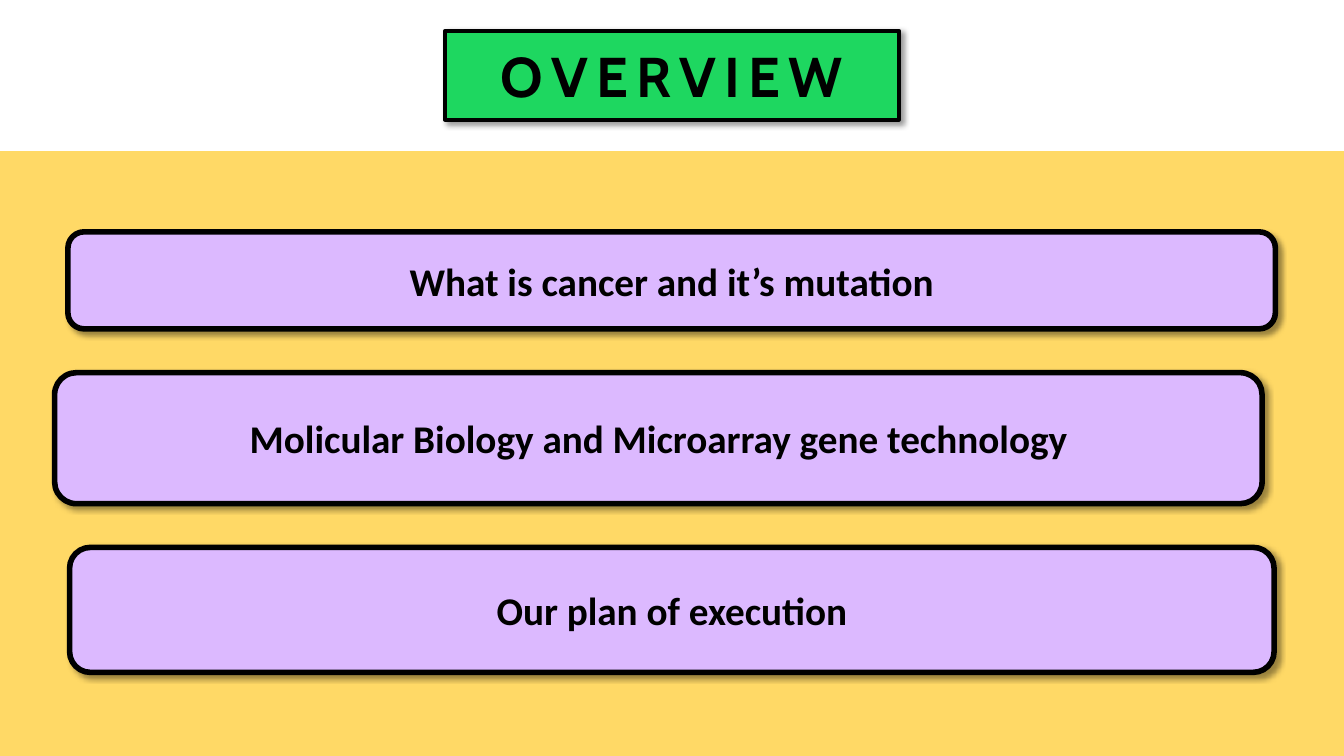
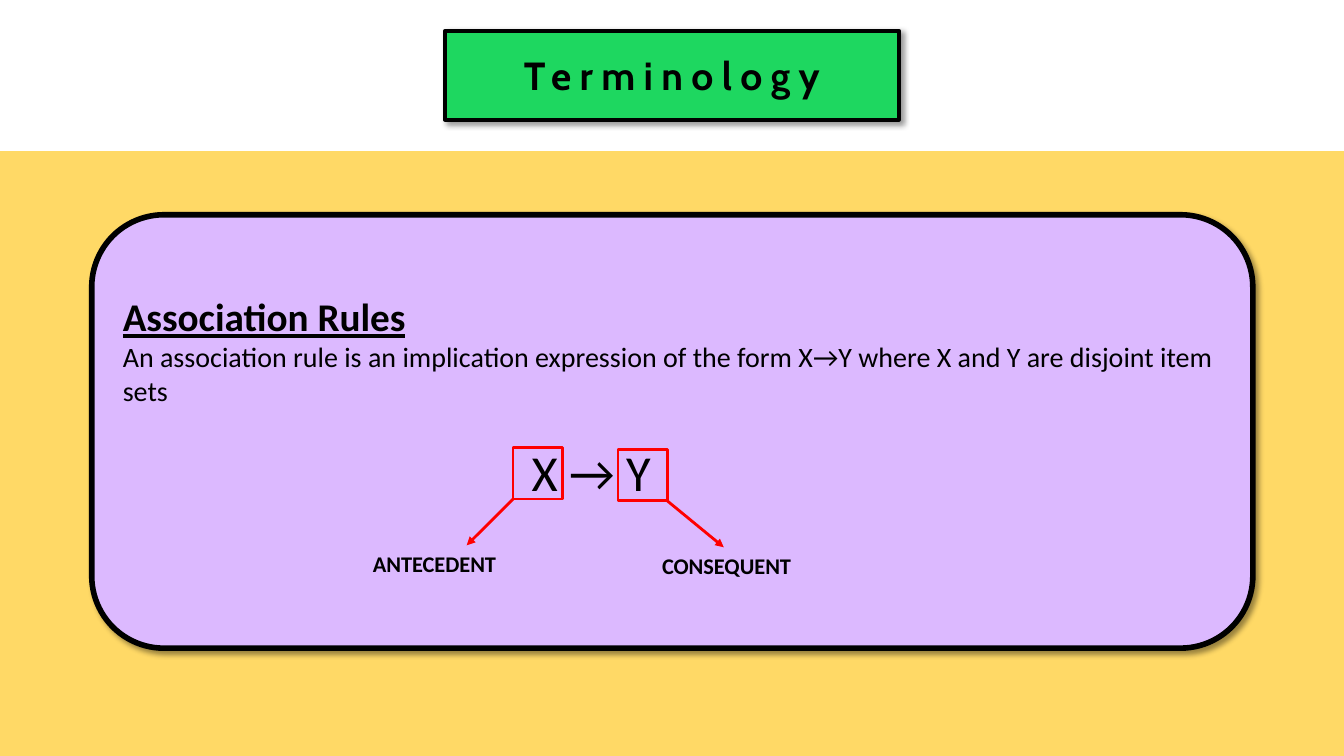
from dataclasses import dataclass

from lxml import etree
from pptx import Presentation
from pptx.dml.color import RGBColor
from pptx.enum.shapes import MSO_CONNECTOR as Connector, MSO_SHAPE as Preset
from pptx.enum.text import MSO_ANCHOR as Anchor, MSO_AUTO_SIZE as AutoSize, PP_ALIGN as Align
from pptx.oxml import parse_xml
from pptx.oxml.ns import nsdecls, qn
from pptx.util import Pt


@dataclass(frozen=True)
class Theme:
    ink: str = "000000"
    pill: str = "1ED760"
    band: str = "FFD966"
    panel: str = "DCB9FF"
    accent: str = "FF0000"
    title_font: str = "Cabin"
    body_font: str = "Calibri"
    title_size: int = 40
    formula_size: int = 36
    heading_size: int = 28
    body_size: int = 20
    label_size: int = 16
    pill_line: int = 3
    panel_line: int = 4
    accent_line: int = 2


THEME = Theme()
WIDTH, HEIGHT = 960, 540
BAND_TOP = 108


class Deck:
    """Holds the presentation, its style and the current slide."""

    def __init__(self, theme):
        self.theme = theme
        self.presentation = Presentation()
        self.presentation.slide_width = Pt(WIDTH)
        self.presentation.slide_height = Pt(HEIGHT)
        self.slide = None

    # Styling helpers
    def paint(self, shape, fill=None, line=None, width=0, shadow=False):
        if fill:
            shape.fill.solid()
            shape.fill.fore_color.rgb = RGBColor.from_string(fill)
        else:
            shape.fill.background()
        if line:
            shape.line.color.rgb = RGBColor.from_string(line)
            shape.line.width = Pt(width)
        else:
            shape.line.fill.background()
        shape.shadow.inherit = False
        if shadow:
            effects = shape._element.spPr.find(qn("a:effectLst"))
            effects.append(parse_xml(
                f'<a:outerShdw {nsdecls("a")} blurRad="{Pt(4)}" dist="{Pt(3)}" '
                f'dir="2700000" algn="tl" rotWithShape="0"><a:srgbClr val="{self.theme.ink}">'
                '<a:alpha val="40000"/></a:srgbClr></a:outerShdw>'))

    def format_text(self, paragraph, size, bold=False, underline=False, font=None, align=Align.LEFT):
        paragraph.alignment = align
        for run in paragraph.runs:
            run.font.name = font or self.theme.body_font
            run.font.size = Pt(size)
            run.font.bold = bold
            run.font.underline = underline
            run.font.color.rgb = RGBColor.from_string(self.theme.ink)

    # Slide frame: title pill and coloured band
    def add_slide(self, title, title_size):
        self.slide = self.presentation.slides.add_slide(self.presentation.slide_layouts[5])
        pill = self.slide.shapes.title
        pill.left, pill.top, pill.width, pill.height = Pt(318), Pt(22), Pt(324), Pt(63.5)
        pill._element.spPr.append(parse_xml(
            f'<a:prstGeom {nsdecls("a")} prst="roundRect"><a:avLst>'
            '<a:gd name="adj" fmla="val 50000"/></a:avLst></a:prstGeom>'))
        self.paint(pill, self.theme.pill, self.theme.ink, self.theme.pill_line, shadow=True)
        frame = pill.text_frame
        frame.text = title
        frame.auto_size = AutoSize.NONE
        frame.vertical_anchor = Anchor.MIDDLE
        paragraph = frame.paragraphs[0]
        self.format_text(paragraph, title_size, bold=True, font=self.theme.title_font,
                         align=Align.CENTER)
        for run in paragraph.runs:
            run.font._element.set("spc", "600")

        band = self.slide.shapes.add_shape(
            Preset.RECTANGLE, 0, Pt(BAND_TOP), Pt(WIDTH), Pt(HEIGHT - BAND_TOP))
        self.paint(band, self.theme.band)

    # Rounded panel; returns its text frame
    def add_panel(self, left, top, width, height):
        panel = self.slide.shapes.add_shape(
            Preset.ROUNDED_RECTANGLE, Pt(left), Pt(top), Pt(width), Pt(height))
        self.paint(panel, self.theme.panel, self.theme.ink, self.theme.panel_line, shadow=True)
        frame = panel.text_frame
        frame.word_wrap = True
        frame.vertical_anchor = Anchor.MIDDLE
        return frame

    def add_topic(self, text, left, top, width, height):
        frame = self.add_panel(left, top, width, height)
        frame.text = text
        self.format_text(frame.paragraphs[0], self.theme.heading_size, bold=True,
                         align=Align.CENTER)

    def add_definition(self, heading, body, formula, left, top, width, height):
        frame = self.add_panel(left, top, width, height)
        frame.margin_bottom = Pt(52.4)
        frame.text = "\n".join((heading, body, formula))
        heading_line, body_line, formula_line = frame.paragraphs
        self.format_text(heading_line, self.theme.heading_size, bold=True, underline=True)
        self.format_text(body_line, self.theme.body_size)
        self.format_text(formula_line, self.theme.formula_size)
        formula_line.space_before = Pt(24.4)
        formula_line._p.get_or_add_pPr().set("marL", str(Pt(292)))

    # Framed symbol with an arrow from a lower corner to its label
    def add_callout(self, text, left, top, corner, tip, label_left):
        width, height, drop = 35.3, 36.7, 33.1
        bottom = top + height
        shapes = self.slide.shapes.add_group_shape().shapes

        box = shapes.add_shape(Preset.RECTANGLE, Pt(left), Pt(top), Pt(width), Pt(height))
        self.paint(box, line=self.theme.accent, width=self.theme.accent_line)

        start = left if corner == "left" else left + width
        arrow = shapes.add_connector(
            Connector.STRAIGHT, Pt(start), Pt(bottom), Pt(tip), Pt(bottom + drop))
        arrow.line.color.rgb = RGBColor.from_string(self.theme.accent)
        arrow.line.width = Pt(self.theme.accent_line)
        etree.SubElement(arrow.line._get_or_add_ln(), qn("a:tailEnd"), type="triangle")
        etree.SubElement(arrow._element.spPr, qn("a:effectLst"))

        label = shapes.add_textbox(Pt(label_left), Pt(bottom + drop), Pt(107.3), Pt(26.6))
        frame = label.text_frame
        frame.word_wrap = True
        frame.auto_size = AutoSize.SHAPE_TO_FIT_TEXT
        frame.text = text
        self.format_text(frame.paragraphs[0], self.theme.label_size, bold=True)


def main():
    deck = Deck(THEME)

    # Overview
    deck.add_slide("OVERVIEW", THEME.title_size)
    for topic in (
        ("What is cancer and it’s mutation", 48.5, 165.6, 862.5, 69.3),
        ("Molicular Biology and Microarray gene technology", 39, 266.2, 862.5, 93.6),
        ("Our plan of execution", 49.7, 391, 860.4, 89.3),
    ):
        deck.add_topic(*topic)

    # Terminology
    deck.add_slide("Terminology", THEME.heading_size)
    deck.add_definition(
        "Association Rules",
        "An association rule is an implication expression of the form X→Y "
        "where X and Y are disjoint item sets",
        "X → Y", 65.5, 153.4, 829.4, 309.6)
    deck.add_callout("ANTECEDENT", 366.5, 319.7, "left", 333.4, 259.2)
    deck.add_callout("CONSEQUENT", 441.4, 321.1, "right", 517, 465.8)

    deck.presentation.save("out.pptx")


if __name__ == "__main__":
    main()
